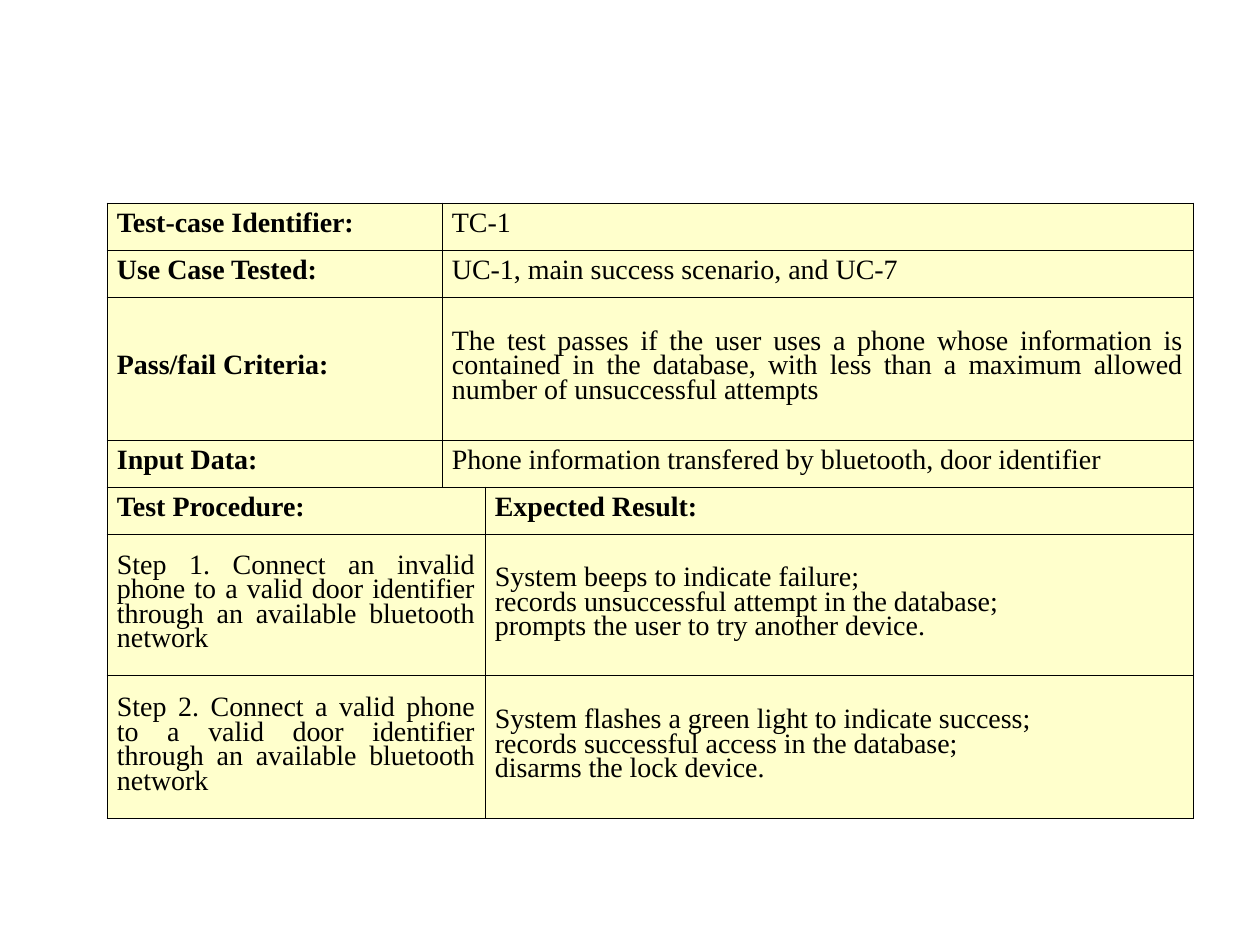
from lxml import etree
from pptx import Presentation
from pptx import util as u
from pptx.dml.color import RGBColor
from pptx.enum import text
from pptx.oxml import ns

PX = 914400 / 126
COLORS = {"ink": "000000", "cell": "FFFFCC", "page": "FFFFFF"}
FONT = "Times New Roman"
COLUMNS = [335, 43, 708]
ROW_HEIGHTS = [47, 47, 143, 47, 47, 142, 143]
SUMMARY = [
    ("Test-case Identifier:", "TC-1"),
    ("Use Case Tested:", "UC-1, main success scenario, and UC-7"),
    ("Pass/fail Criteria:",
     "The test passes if the user uses a phone whose information is contained in the "
     "database, with less than a maximum allowed number of unsuccessful attempts"),
    ("Input Data:", "Phone information transfered by bluetooth, door identifier"),
]
HEADINGS = ("Test Procedure:", "Expected Result:")
STEPS = [
    ("Step 1. Connect an invalid phone to a valid door identifier through an available "
     "bluetooth network",
     "System beeps to indicate failure;\nrecords unsuccessful attempt in the database;\n"
     "prompts the user to try another device."),
    ("Step 2. Connect a valid phone to a valid door identifier through an available "
     "bluetooth network",
     "System flashes a green light to indicate success;\n"
     "records successful access in the database;\ndisarms the lock device."),
]


def px(length):
    """Turn pixels into EMU."""
    return u.Emu(round(length * PX))


def color(name):
    """Look up a named colour."""
    return RGBColor.from_string(COLORS[name])


def write(frame, words, bold=False, align=text.PP_ALIGN.JUSTIFY, size=16):
    """Write one paragraph, with a line break at each newline."""
    para = frame.paragraphs[0]
    para.alignment = align
    para.line_spacing = u.Pt(14)
    for index, line in enumerate(words.split("\n")):
        if index:
            para.add_line_break()
        span = para.add_run()
        span.text = line
        span.font.name = FONT
        span.font.size = u.Pt(size)
        span.font.bold = bold
        span.font.color.rgb = color("ink")


def add_borders(cell, width=0.45):
    """Draw a thin line on each side of a cell."""
    props = cell._tc.get_or_add_tcPr()
    for index, side in enumerate(("lnL", "lnR", "lnT", "lnB")):
        line = etree.Element(ns.qn(f"a:{side}"), w=str(u.Pt(width)))
        fill = etree.SubElement(line, ns.qn("a:solidFill"))
        etree.SubElement(fill, ns.qn("a:srgbClr"), val=COLORS["ink"])
        props.insert(index, line)


def style_cell(cell):
    """Set the fill, margins, anchor and borders of a cell."""
    cell.fill.solid()
    cell.fill.fore_color.rgb = color("cell")
    cell.margin_left = cell.margin_right = px(10)
    cell.margin_top = cell.margin_bottom = px(6)
    cell.vertical_anchor = text.MSO_ANCHOR.MIDDLE
    add_borders(cell)


def add_grid(page, left, top):
    """Add the empty styled table."""
    frame = page.shapes.add_table(
        len(ROW_HEIGHTS), len(COLUMNS), px(left), px(top),
        px(sum(COLUMNS)), px(sum(ROW_HEIGHTS)))
    table = frame.table
    table.first_row = table.horz_banding = False
    for column, width in zip(table.columns, COLUMNS):
        column.width = px(width)
    for row, height in zip(table.rows, ROW_HEIGHTS):
        row.height = px(height)
    for cell in table.iter_cells():
        style_cell(cell)
    return table


def fill_summary(table):
    """Fill the label and value rows, whose values span two columns."""
    for row, (label, value) in enumerate(SUMMARY):
        table.cell(row, 1).merge(table.cell(row, 2))
        write(table.cell(row, 0).text_frame, label, bold=True)
        write(table.cell(row, 1).text_frame, value)


def fill_steps(table):
    """Fill the procedure rows, whose steps span two columns."""
    for row, (step, result) in enumerate([HEADINGS, *STEPS], len(SUMMARY)):
        heading = row == len(SUMMARY)
        align = text.PP_ALIGN.JUSTIFY if heading else text.PP_ALIGN.LEFT
        table.cell(row, 0).merge(table.cell(row, 1))
        write(table.cell(row, 0).text_frame, step, bold=heading)
        write(table.cell(row, 2).text_frame, result, bold=heading, align=align)


def main():
    """Build the test-case slide."""
    deck = Presentation()
    deck.slide_width, deck.slide_height = px(1260), px(945)
    page = deck.slides.add_slide(deck.slide_layouts[6])
    page.background.fill.solid()
    page.background.fill.fore_color.rgb = color("page")
    table = add_grid(page, 107, 203)
    fill_summary(table)
    fill_steps(table)
    deck.save("out.pptx")


if __name__ == "__main__":
    main()
